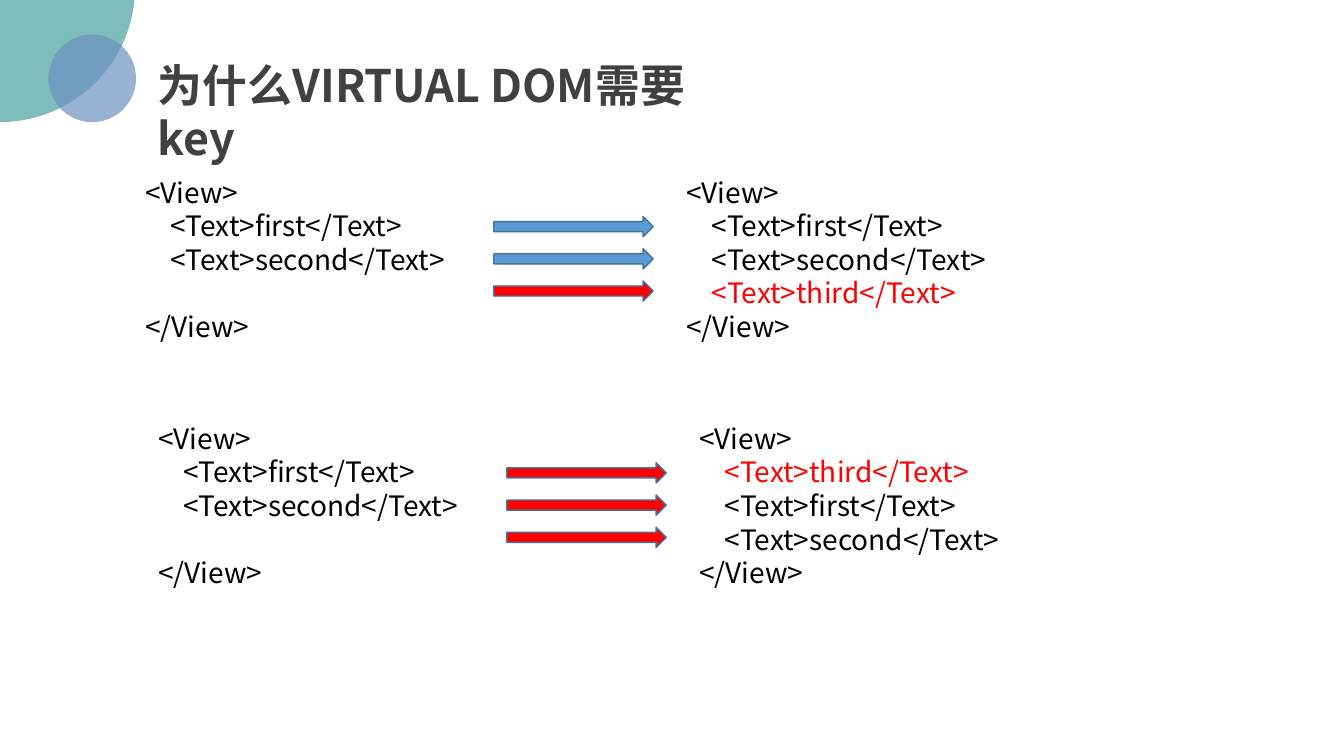
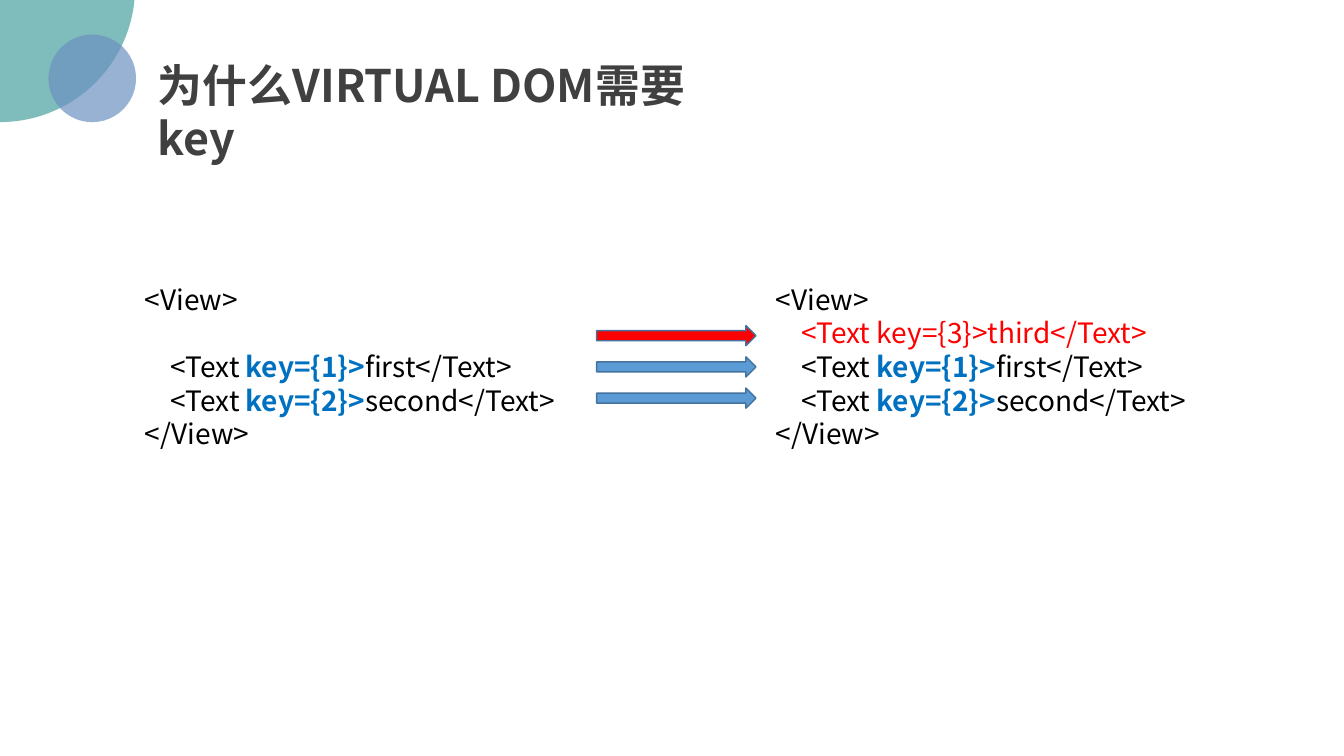
from pptx import Presentation
from pptx.dml.color import RGBColor
from pptx.enum.shapes import MSO_SHAPE as Shape
from pptx.oxml.ns import qn
from pptx.util import Pt
from lxml import etree

FONT = "Noto Sans CJK SC"
TITLE = "为什么VIRTUAL DOM需要key"
TITLE_STYLE = {"size": Pt(32), "bold": True, "color": "404040"}
CODE_STYLES = {
    "plain": {"size": Pt(20), "bold": False, "color": "000000"},
    "new": {"size": Pt(20), "bold": False, "color": "FF0000"},
    "key": {"size": Pt(20), "bold": True, "color": "0070C0"},
}
ARROW_FILLS = {"same": "5B9BD5", "changed": "FF0000"}
ARROW_LINE = "43739E"
LINE_PITCH = 24
CODE_INDENT = 18


def rgb(value):
    return RGBColor.from_string(value)


class Deck:
    """Holds the shared style and the slide being built."""

    def __init__(self):
        self.prs = Presentation()
        self.prs.slide_width, self.prs.slide_height = Pt(960), Pt(540)
        self.slide = None

    def new_slide(self):
        self.slide = self.prs.slides.add_slide(self.prs.slide_layouts[6])
        self.circle(-96.5, -105.8, 193, "48A2A0")
        self.circle(34.6, 24.7, 62.6, "6C92C0")
        title = self.text_box(105.8, 37.4, 441.4, 46)
        self.paragraph(title.paragraphs[0], [(TITLE, TITLE_STYLE)], 38.4)

    def shape(self, kind, left, top, width, height, fill):
        shape = self.slide.shapes.add_shape(kind, Pt(left), Pt(top), Pt(width), Pt(height))
        shape.shadow.inherit = False
        shape.fill.solid()
        shape.fill.fore_color.rgb = rgb(fill)
        return shape

    def circle(self, left, top, diameter, fill):
        circle = self.shape(Shape.OVAL, left, top, diameter, diameter, fill)
        circle.line.fill.background()
        color = circle.fill._xPr.find(qn("a:solidFill"))[0]
        etree.SubElement(color, qn("a:alpha"), val="70000")

    def arrow(self, left, top, state):
        arrow = self.shape(Shape.RIGHT_ARROW, left, top, 113.8, 14.4, ARROW_FILLS[state])
        arrow.line.color.rgb = rgb(ARROW_LINE)
        arrow.line.width = Pt(1)

    def text_box(self, left, top, width, height):
        box = self.slide.shapes.add_textbox(Pt(left), Pt(top), Pt(width), Pt(height))
        box.text_frame.word_wrap = True
        return box.text_frame

    def paragraph(self, paragraph, runs, pitch):
        paragraph.line_spacing = Pt(pitch)
        for text, style in runs:
            run = paragraph.add_run()
            run.text = text
            run.font.name = FONT
            for name, value in style.items():
                if name == "color":
                    run.font.color.rgb = rgb(value)
                else:
                    setattr(run.font, name, value)
            etree.SubElement(run.font._element, qn("a:ea"), typeface=FONT)

    def code(self, left, top, width, children, gap_before=None):
        """A View with its children; gap_before is the line that follows an empty row."""
        frame = self.text_box(left, top, width, 128.2)
        lines = [[("<View>", "plain")], *children, [("</View>", "plain")]]
        for index, line in enumerate(lines):
            paragraph = frame.paragraphs[0] if index == 0 else frame.add_paragraph()
            if index == gap_before:
                paragraph.space_before = Pt(LINE_PITCH)
            if 0 < index < len(lines) - 1:
                paragraph._p.get_or_add_pPr().set("marL", str(Pt(CODE_INDENT)))
            runs = [(text, CODE_STYLES[style]) for text, style in line]
            self.paragraph(paragraph, runs, LINE_PITCH)

    def arrows(self, left, top, pitch, states):
        for row, state in enumerate(states):
            self.arrow(left, top + row * pitch, state)


def child(word, style="plain"):
    return [(f"<Text>{word}</Text>", style)]


def keyed_child(key, word):
    return [("<Text ", "plain"), (f"key={{{key}}}>", "key"), (f"{word}</Text>", "plain")]


def main():
    deck = Deck()
    first, second, third = child("first"), child("second"), child("third", "new")

    # Without keys: appending at the end, then inserting at the start
    deck.new_slide()
    comparisons = [
        (96.5, 121.5, [first, second, third], ["same", "same", "changed"]),
        (105.8, 297.4, [third, first, second], ["changed"] * 3),
    ]
    for left, top, after, states in comparisons:
        deck.code(left, top, 240, [first, second], gap_before=3)
        deck.code(left + 386.6, top, 240, after)
        deck.arrows(left + 256.3, top + 33.2, 23, states)

    # With keys: only the inserted child changes
    deck.new_slide()
    kept = [keyed_child(1, "first"), keyed_child(2, "second")]
    inserted = [("<Text key={3}>third</Text>", "new")]
    deck.code(96.5, 198, 327, kept, gap_before=1)
    deck.code(547.2, 198, 327, [inserted, *kept])
    deck.arrows(426.2, 232.6, 22.3, ["changed", "same", "same"])

    deck.prs.save("out.pptx")


if __name__ == "__main__":
    main()
